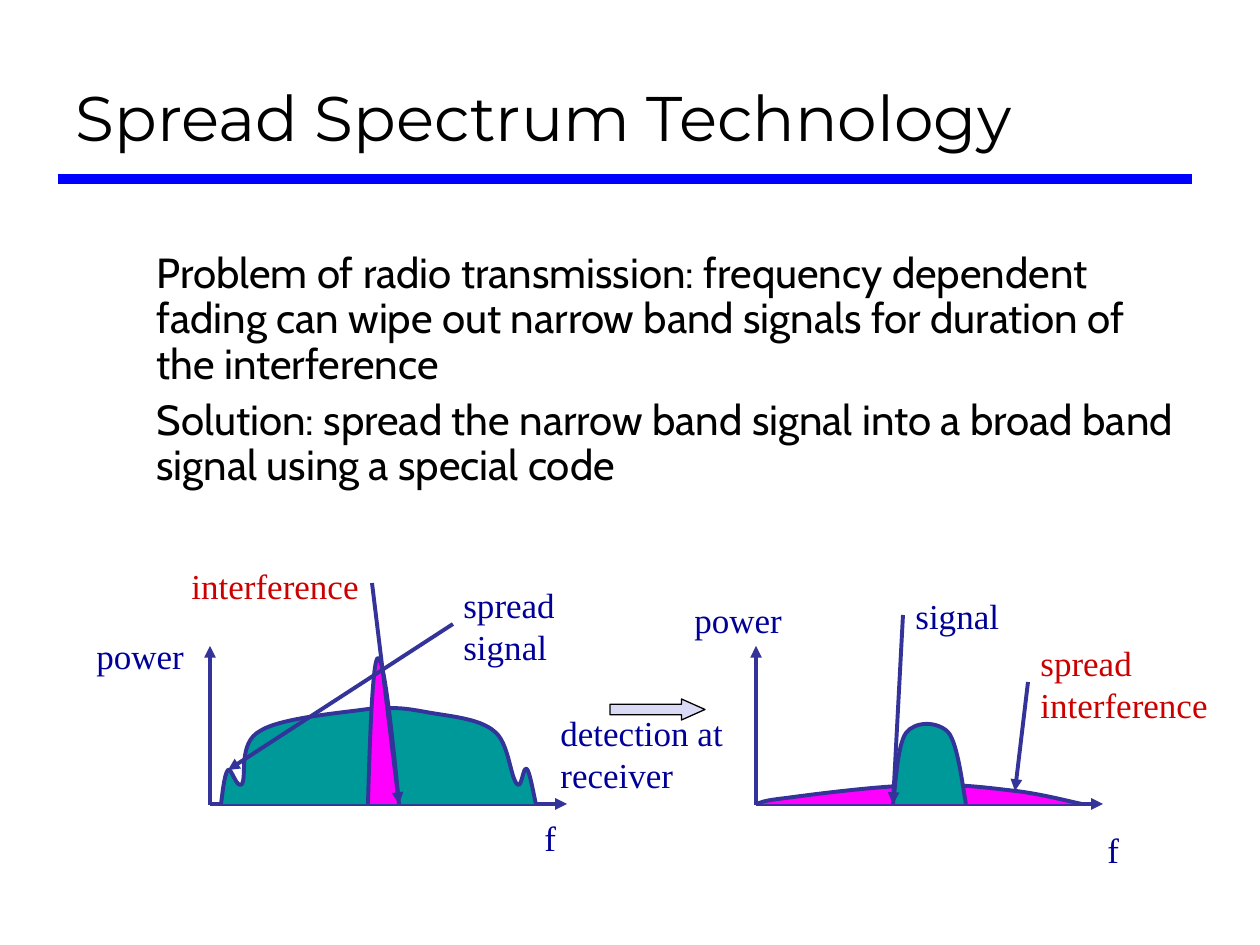
from lxml.etree import SubElement
from pptx import Presentation
from pptx.dml.color import RGBColor
from pptx.enum.shapes import MSO_CONNECTOR, MSO_SHAPE
from pptx.enum.text import MSO_ANCHOR, MSO_AUTO_SIZE, PP_ALIGN
from pptx.oxml.ns import qn
from pptx.util import Pt

PX = 914400 / 126  # EMU per px

THEME = {
    "black": "000000", "rule": "0000FF", "outline": "333399", "label": "000099",
    "alert": "CC0000", "teal": "009999", "magenta": "FF00FF", "pale": "DADAF6",
    "title": ("Montserrat", 36), "body": ("Cabin", 24), "note": ("Times New Roman", 20),
    "line": 2.25, "rule width": 6, "thin": 0.75,
}

# Content: lengths in px
TITLE = "Spread Spectrum Technology"
POINTS = [
    "Problem of radio transmission: frequency dependent fading can wipe out narrow band "
    "signals for duration of the interference",
    "Solution: spread the narrow band signal into a broad band signal using a special code",
]
BASELINE, AXIS_TOP = 804, 646
AXES = [(210, 567), (756, 1103)]  # origin x, end of frequency axis

# Outlines: fill, start, then cubic curves (two controls and an end)
SPREAD_SIGNAL = ("teal", (221, 804), [
    (222, 799, 224, 774, 228, 770), (231, 766, 237, 790, 242, 784),
    (247, 776, 238, 743, 260, 731), (280, 718, 340, 713, 368, 709),
    (396, 707, 404, 708, 426, 712), (447, 716, 479, 718, 494, 731),
    (509, 742, 510, 776, 517, 784), (522, 790, 523, 765, 527, 769),
    (530, 772, 534, 796, 536, 804)])
INTERFERENCE = ("magenta", (368, 804), [
    (370, 731, 373, 658, 378, 658), (384, 658, 392, 731, 399, 804)])
SPREAD_INTERFERENCE = ("magenta", (756, 804), [
    (761, 803, 759, 801, 786, 798), (815, 794, 886, 785, 925, 785),
    (963, 784, 989, 788, 1016, 791), (1041, 794, 1068, 801, 1082, 804)])
SIGNAL = ("teal", (893, 804), [
    (895, 793, 897, 745, 906, 733), (915, 721, 937, 721, 948, 732),
    (958, 743, 963, 789, 966, 804)])
PLOTS = [(SPREAD_SIGNAL, INTERFERENCE), (SPREAD_INTERFERENCE, SIGNAL)]

LABELS = [  # text, colour, left, top, width, height, wrap
    ("detection at\nreceiver", "label", 548, 705, 207, 97, True),
    ("interference", "alert", 179, 558, 194, 55, False),
    ("spread signal", "label", 451, 577, 166, 97, True),
    ("signal", "label", 903, 588, 110, 55, False),
    ("spread\ninterference", "alert", 1028, 635, 232, 97, True),
    ("f", "label", 532, 810, 38, 55, False),
    ("f", "label", 1095, 822, 38, 55, False),
    ("power", "label", 84, 628, 114, 55, False),
    ("power", "label", 682, 592, 114, 55, False),
]
CALLOUTS = [  # from label to curve
    (372, 583, 399, 804), (453, 624, 228, 770),
    (903, 615, 893, 804), (1028, 682, 1015, 791),
]


def px(*lengths):
    return [round(length * PX) for length in lengths]


def colour(name):
    return RGBColor.from_string(THEME[name])


def style_text(paragraph, font_key, colour_name):
    paragraph.alignment = PP_ALIGN.LEFT
    for run in paragraph.runs:
        run.font.name, size = THEME[font_key]
        run.font.size = Pt(size)
        run.font.color.rgb = colour(colour_name)


def style_line(shape, colour_name, width_key):
    shape.line.color.rgb = colour(colour_name)
    shape.line.width = Pt(THEME[width_key])


def place(shape, *box):
    shape.left, shape.top, shape.width, shape.height = px(*box)


def add_line(slide, ends, colour_name="outline", width_key="line", arrow=True):
    line = slide.shapes.add_connector(MSO_CONNECTOR.STRAIGHT, *px(*ends))
    style_line(line, colour_name, width_key)
    outline = line.line._get_or_add_ln()
    if arrow:
        SubElement(outline, qn("a:tailEnd"), type="triangle")
    else:
        outline.set("cap", "sq")
    SubElement(line._element.spPr, qn("a:effectLst"))


def add_curve(slide, fill, start, curves):
    anchors = [start] + [curve[4:] for curve in curves]
    left, top = map(min, zip(*anchors))
    builder = slide.shapes.build_freeform(*start, scale=PX)
    builder.add_line_segments(anchors[1:], close=False)
    shape = builder.convert_to_shape()
    # Turn each straight segment into its cubic curve
    segments = list(shape._element.iter(qn("a:lnTo")))
    for segment, curve in zip(segments, curves):
        segment.clear()
        segment.tag = qn("a:cubicBezTo")
        for x, y in zip(curve[::2], curve[1::2]):
            SubElement(segment, qn("a:pt"), x=str(x - left), y=str(y - top))
    shape.shadow.inherit = False
    shape.fill.solid()
    shape.fill.fore_color.rgb = colour(fill)
    style_line(shape, "outline", "line")


def add_label(slide, text, colour_name, left, top, width, height, wrap):
    frame = slide.shapes.add_textbox(*px(left, top, width, height)).text_frame
    frame.word_wrap = wrap
    frame.auto_size = MSO_AUTO_SIZE.SHAPE_TO_FIT_TEXT
    frame.text = text
    for paragraph in frame.paragraphs:
        style_text(paragraph, "note", colour_name)


def main():
    presentation = Presentation()
    presentation.slide_width, presentation.slide_height = px(1260, 945)
    slide = presentation.slides.add_slide(presentation.slide_layouts[1])

    # Title and rule
    title, body = slide.placeholders
    place(title, 63, 38, 1134, 157)
    title.text_frame.text = TITLE
    title.text_frame.auto_size = MSO_AUTO_SIZE.NONE
    title.text_frame.vertical_anchor = MSO_ANCHOR.MIDDLE
    style_text(title.text_frame.paragraphs[0], "title", "black")
    add_line(slide, (63, 179, 1187, 179), "rule", "rule width", arrow=False)

    # Body list without bullets
    place(body, 144, 246, 1050, 299)
    body.text_frame.text = "\n".join(POINTS)
    body.text_frame.auto_size = MSO_AUTO_SIZE.NONE
    for index, paragraph in enumerate(body.text_frame.paragraphs):
        properties = paragraph._p.get_or_add_pPr()
        properties.set("marL", "0")
        properties.set("indent", "0")
        SubElement(properties, qn("a:buNone"))
        paragraph.line_spacing = 0.9
        paragraph.space_before = Pt(6 if index else 0)
        style_text(paragraph, "body", "black")

    # Two power-frequency plots
    for (origin, end), curves in zip(AXES, PLOTS):
        add_line(slide, (origin, BASELINE, end, BASELINE))
        add_line(slide, (origin, BASELINE + 1, origin, AXIS_TOP))
        for curve in curves:
            add_curve(slide, *curve)

    # Detection arrow
    arrow = slide.shapes.add_shape(MSO_SHAPE.RIGHT_ARROW, *px(610, 699, 95, 21))
    arrow.adjustments[1] = 1.12
    arrow.shadow.inherit = False
    arrow.fill.solid()
    arrow.fill.fore_color.rgb = colour("pale")
    style_line(arrow, "black", "thin")

    # Labels and callouts
    for label in LABELS:
        add_label(slide, *label)
    for callout in CALLOUTS:
        add_line(slide, callout)

    presentation.save("out.pptx")


if __name__ == "__main__":
    main()
